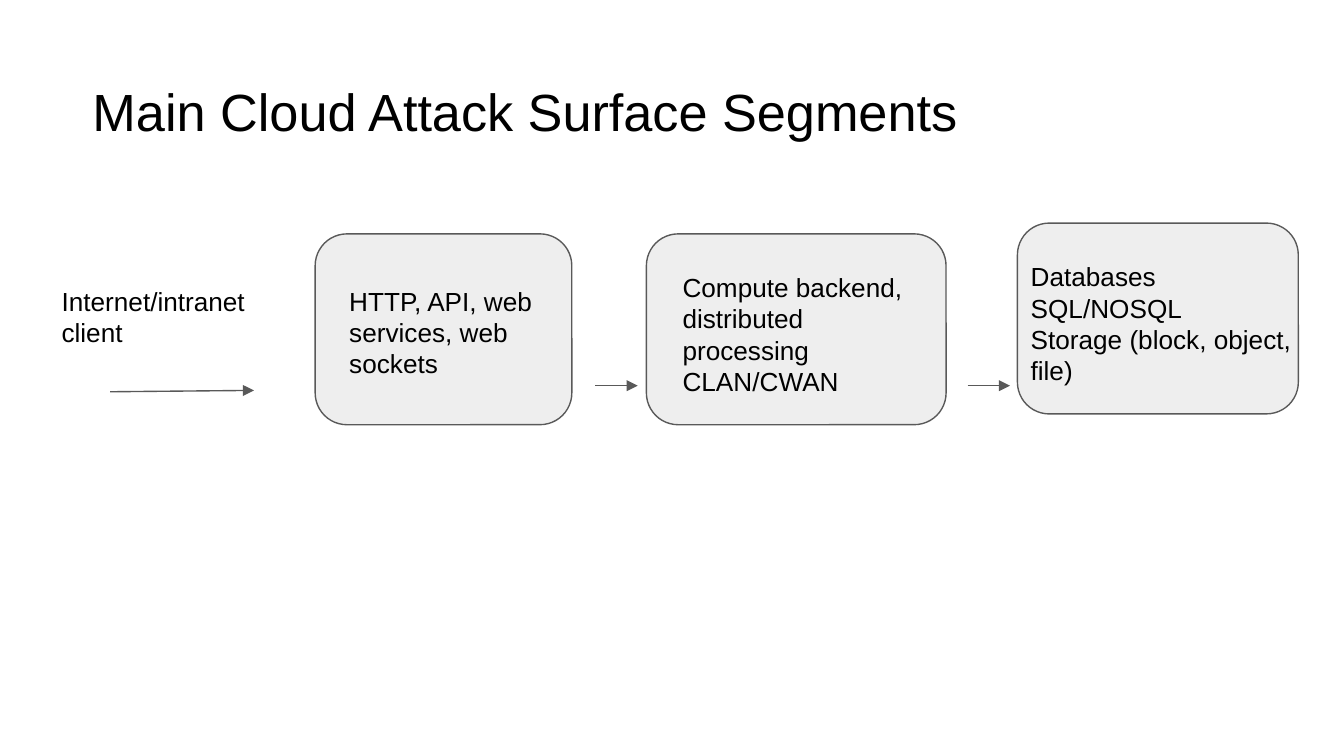
from lxml import etree
from pptx import Presentation
from pptx import util as u
from pptx.dml.color import RGBColor
from pptx.enum import shapes, text
from pptx.oxml.ns import qn

BLACK = RGBColor(0x00, 0x00, 0x00)
DARK_GRAY = RGBColor(0x59, 0x59, 0x59)
LIGHT_GRAY = RGBColor(0xEE, 0xEE, 0xEE)

CELL = u.Inches(0.1)  # side of one grid column or row
COLUMNS, ROWS = 100, 56.25

SEGMENT_HEIGHT = 14.2
TEXT_HEIGHT = 10.7


def cells(*counts):
    return [round(count * CELL) for count in counts]


class SlideBuilder:
    """Places styled elements on a slide; lengths count grid cells."""

    font_name = "Arial"
    line_width = u.Pt(0.75)

    def __init__(self, slide):
        self.slide = slide

    def text(self, left, top, width, height, lines, size=14):
        box = self.slide.shapes.add_textbox(*cells(left, top, width, height))
        frame = box.text_frame
        frame.word_wrap = True
        frame.vertical_anchor = text.MSO_ANCHOR.TOP
        frame.margin_left = frame.margin_right = CELL
        frame.margin_top = frame.margin_bottom = CELL
        frame.text = "\n".join(lines)
        for para in frame.paragraphs:
            para.font.name = self.font_name
            para.font.size = u.Pt(size)
            para.font.color.rgb = BLACK

    def segment(self, left, top, width):
        box = self.slide.shapes.add_shape(
            shapes.MSO_SHAPE.ROUNDED_RECTANGLE,
            *cells(left, top, width, SEGMENT_HEIGHT))
        box.shadow.inherit = False
        box.fill.solid()
        box.fill.fore_color.rgb = LIGHT_GRAY
        box.line.color.rgb = DARK_GRAY
        box.line.width = self.line_width

    def arrow(self, start_x, start_y, end_x, end_y):
        arrow = self.slide.shapes.add_connector(
            shapes.MSO_CONNECTOR.STRAIGHT,
            *cells(start_x, start_y, end_x, end_y))
        arrow.line.color.rgb = DARK_GRAY
        arrow.line.width = self.line_width
        outline = arrow.line._get_or_add_ln()
        etree.SubElement(outline, qn("a:tailEnd"), type="triangle")
        etree.SubElement(arrow._element.spPr, qn("a:effectLst"))


def main():
    deck = Presentation()
    deck.slide_width, deck.slide_height = cells(COLUMNS, ROWS)
    page = SlideBuilder(deck.slides.add_slide(deck.slide_layouts[6]))

    page.text(5.9, 4.9, 74.3, 6.3, ["Main Cloud Attack Surface Segments"], size=28)

    for left, top, width in [(23.45, 17.4, 19.1), (48.1, 17.4, 22.3), (75.7, 16.6, 20.9)]:
        page.segment(left, top, width)

    for left, top, width, lines in [
        (25, 20.2, 19.1, ["HTTP, API, web services, web sockets"]),
        (49.8, 19.2, 20.1, ["Compute backend,", "distributed processing", "CLAN/CWAN"]),
        (75.7, 18.4, 21.8, ["Databases", "SQL/NOSQL", "Storage (block, object, file)"]),
    ]:
        page.text(left, top, width, TEXT_HEIGHT, lines)
    page.text(3.6, 20.2, 16.6, 6.3, ["Internet/intranet client"])

    page.arrow(8.2, 29.15, 18.9, 29.05)
    for start in (44.3, 72):
        page.arrow(start, 28.7, start + 3.15, 28.7)

    deck.save("out.pptx")


if __name__ == "__main__":
    main()
